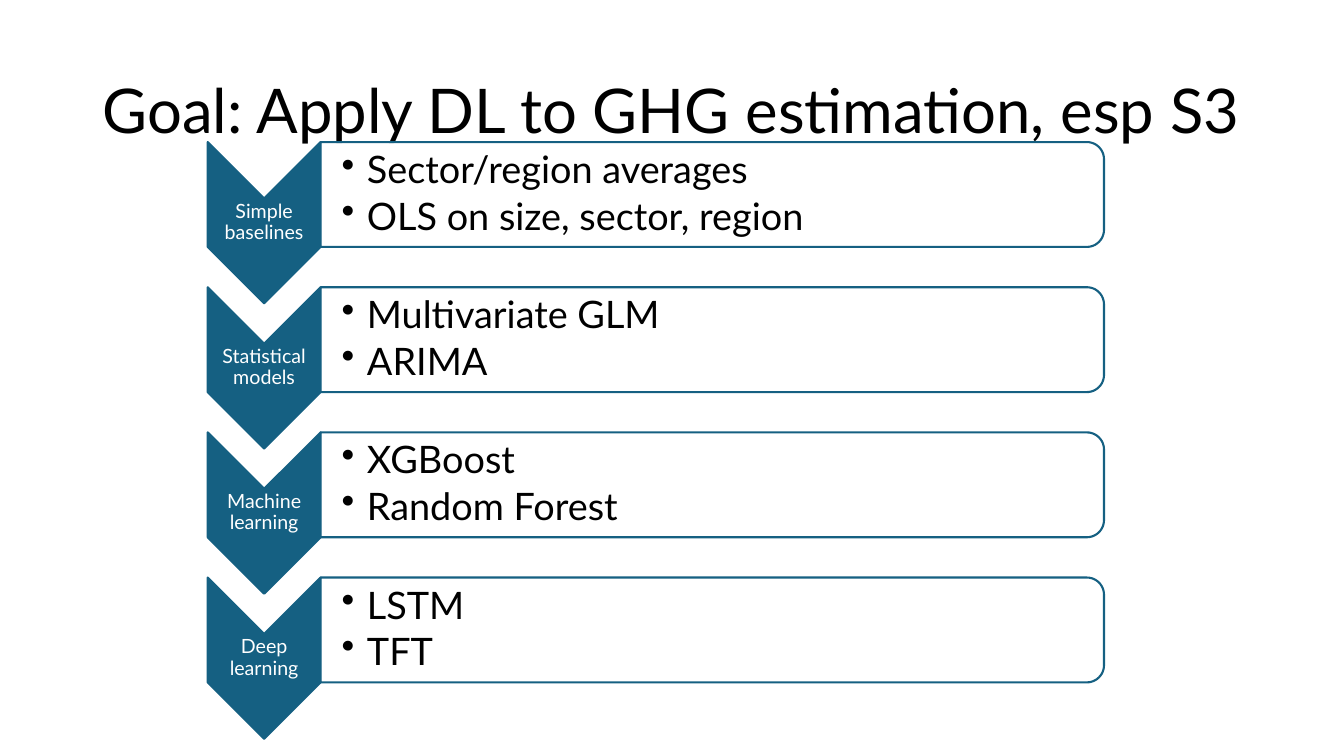
from dataclasses import dataclass
from math import cos, pi, sin

from lxml import etree
from pptx import Presentation
from pptx.dml.color import RGBColor
from pptx.enum.text import MSO_ANCHOR, PP_ALIGN
from pptx.oxml.ns import qn
from pptx.shapes.autoshape import Shape
from pptx.slide import Slide
from pptx.text.text import TextFrame
from pptx.util import Pt

EMU_PER_PX = 9144  # 100 px to the inch
FONT = "Lato"
BLACK, WHITE, TEAL = "000000", "FFFFFF", "156082"

CHEVRON_LEFT, CHEVRON_WIDTH, CHEVRON_HEIGHT = 206, 112, 160
NOTCH = CHEVRON_WIDTH // 2
CARD_LEFT = CHEVRON_LEFT + CHEVRON_WIDTH
CARD_WIDTH, CARD_HEIGHT, CARD_RADIUS = 777, CHEVRON_HEIGHT - NOTCH, 17
FIRST_TOP, ROW_STEP = 141, 144
ARC_STEPS = 12
BULLET_INDENT = 25

Point = tuple[float, float]


@dataclass(frozen=True)
class Stage:
    name: str
    methods: tuple[str, ...]


@dataclass(frozen=True)
class TextStyle:
    size: int
    color: str
    align: PP_ALIGN = PP_ALIGN.LEFT
    space_after: int = 0
    bullet: str = ""


TITLE_STYLE = TextStyle(44, BLACK)
STAGE_STYLE = TextStyle(14, WHITE, PP_ALIGN.CENTER, space_after=5)
METHOD_STYLE = TextStyle(27, BLACK, space_after=4, bullet="•")

STAGES = (
    Stage("Simple baselines", ("Sector/region averages", "OLS on size, sector, region")),
    Stage("Statistical models", ("Multivariate GLM", "ARIMA")),
    Stage("Machine learning", ("XGBoost", "Random Forest")),
    Stage("Deep learning", ("LSTM", "TFT")),
)


def px(length: float) -> int:
    return round(length * EMU_PER_PX)


def rgb(color: str) -> RGBColor:
    return RGBColor.from_string(color)


def write_text(frame: TextFrame, lines: tuple[str, ...], style: TextStyle,
               insets: tuple[int, int, int, int]) -> None:
    """Fill a frame, one paragraph a line; insets run left, top, right, bottom."""
    frame.word_wrap = True
    frame.vertical_anchor = MSO_ANCHOR.MIDDLE
    (frame.margin_left, frame.margin_top,
     frame.margin_right, frame.margin_bottom) = map(px, insets)
    for index, line in enumerate(lines):
        paragraph = frame.add_paragraph() if index else frame.paragraphs[0]
        paragraph.text = line
        if style.bullet:
            properties = paragraph._p.get_or_add_pPr()
            properties.set("marL", str(px(BULLET_INDENT)))
            properties.set("indent", str(-px(BULLET_INDENT)))
            etree.SubElement(properties, qn("a:buChar"), char=style.bullet)
        paragraph.alignment = style.align
        paragraph.line_spacing = 0.9
        paragraph.space_after = Pt(style.space_after)
        paragraph.font.name = FONT
        paragraph.font.size = Pt(style.size)
        paragraph.font.color.rgb = rgb(style.color)


def add_outline(slide: Slide, points: list[Point], fill: str) -> Shape:
    """Draw a closed, teal-edged outline through points given in px."""
    start, *rest = [(px(x), px(y)) for x, y in points]
    builder = slide.shapes.build_freeform(*start)
    builder.add_line_segments(rest, close=True)
    shape = builder.convert_to_shape()
    shape.shadow.inherit = False
    shape.fill.solid()
    shape.fill.fore_color.rgb = rgb(fill)
    shape.line.color.rgb = rgb(TEAL)
    shape.line.width = Pt(1.5)
    return shape


def add_chevron(slide: Slide, top: int, name: str) -> None:
    middle, right = CHEVRON_LEFT + NOTCH, CARD_LEFT
    shoulder = top + CARD_HEIGHT
    points = [(right, top), (right, shoulder), (middle, top + CHEVRON_HEIGHT),
              (CHEVRON_LEFT, shoulder), (CHEVRON_LEFT, top), (middle, top + NOTCH)]
    chevron = add_outline(slide, points, TEAL)
    write_text(chevron.text_frame, (name,), STAGE_STYLE, (1, 57, 1, 57))


def corner_arc(center_x: float, center_y: float, start: float) -> list[Point]:
    """Points of a clockwise quarter circle from the start angle."""
    angles = [start + pi / 2 * step / ARC_STEPS for step in range(ARC_STEPS + 1)]
    return [(center_x + CARD_RADIUS * cos(angle), center_y + CARD_RADIUS * sin(angle))
            for angle in angles]


def add_card(slide: Slide, top: int, methods: tuple[str, ...]) -> None:
    bottom = top + CARD_HEIGHT
    arc_x = CARD_LEFT + CARD_WIDTH - CARD_RADIUS
    points = [(CARD_LEFT, top),
              *corner_arc(arc_x, top + CARD_RADIUS, -pi / 2),
              *corner_arc(arc_x, bottom - CARD_RADIUS, 0),
              (CARD_LEFT, bottom)]
    card = add_outline(slide, points, WHITE)
    fill_color = card.element.spPr.find(f"{qn('a:solidFill')}/{qn('a:srgbClr')}")
    etree.SubElement(fill_color, qn("a:alpha"), val="90000")
    write_text(card.text_frame, methods, METHOD_STYLE, (21, 7, 7, 7))


def main() -> None:
    presentation = Presentation()
    presentation.slide_width, presentation.slide_height = px(1333), px(750)
    slide = presentation.slides.add_slide(presentation.slide_layouts[6])

    title = slide.shapes.add_textbox(px(92), px(40), px(1150), px(145))
    write_text(title.text_frame, ("Goal: Apply DL to GHG estimation, esp S3",),
               TITLE_STYLE, (10, 5, 10, 5))
    for row, stage in enumerate(STAGES):
        top = FIRST_TOP + row * ROW_STEP
        add_chevron(slide, top, stage.name)
        add_card(slide, top, stage.methods)

    presentation.save("out.pptx")


if __name__ == "__main__":
    main()
